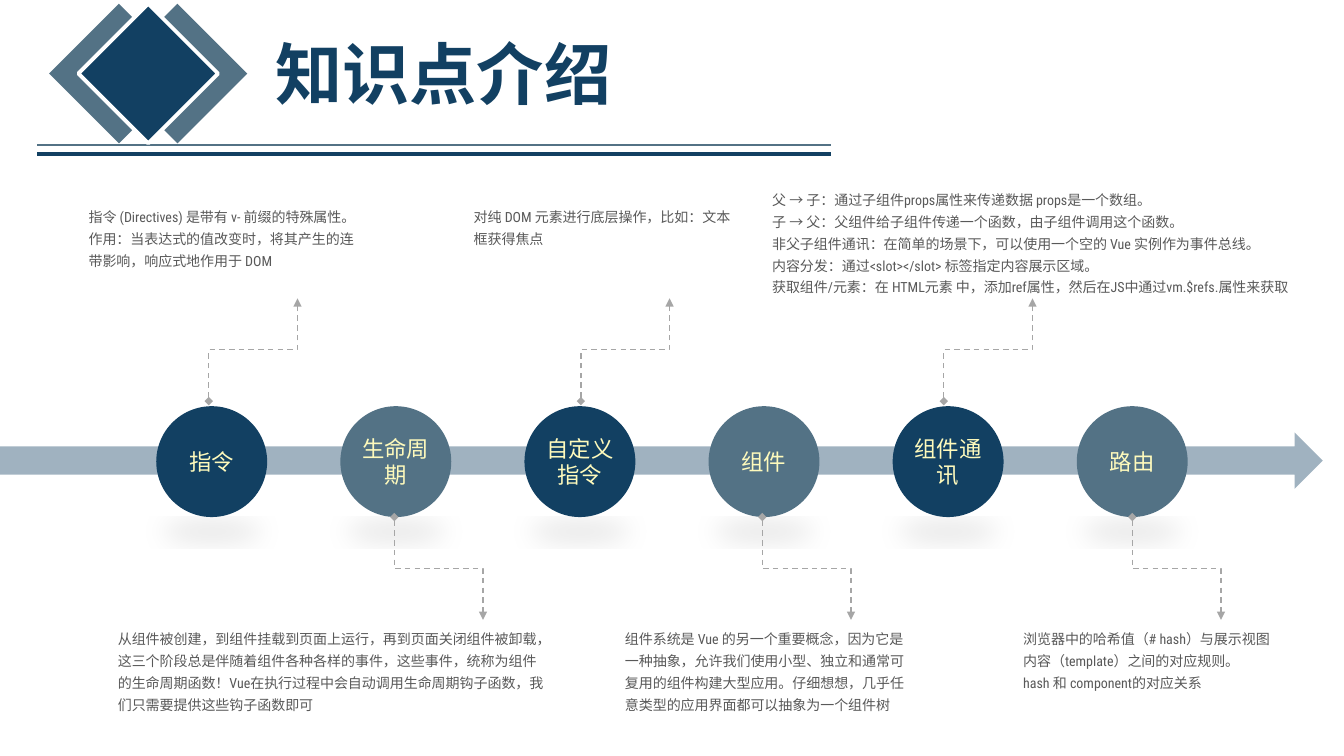
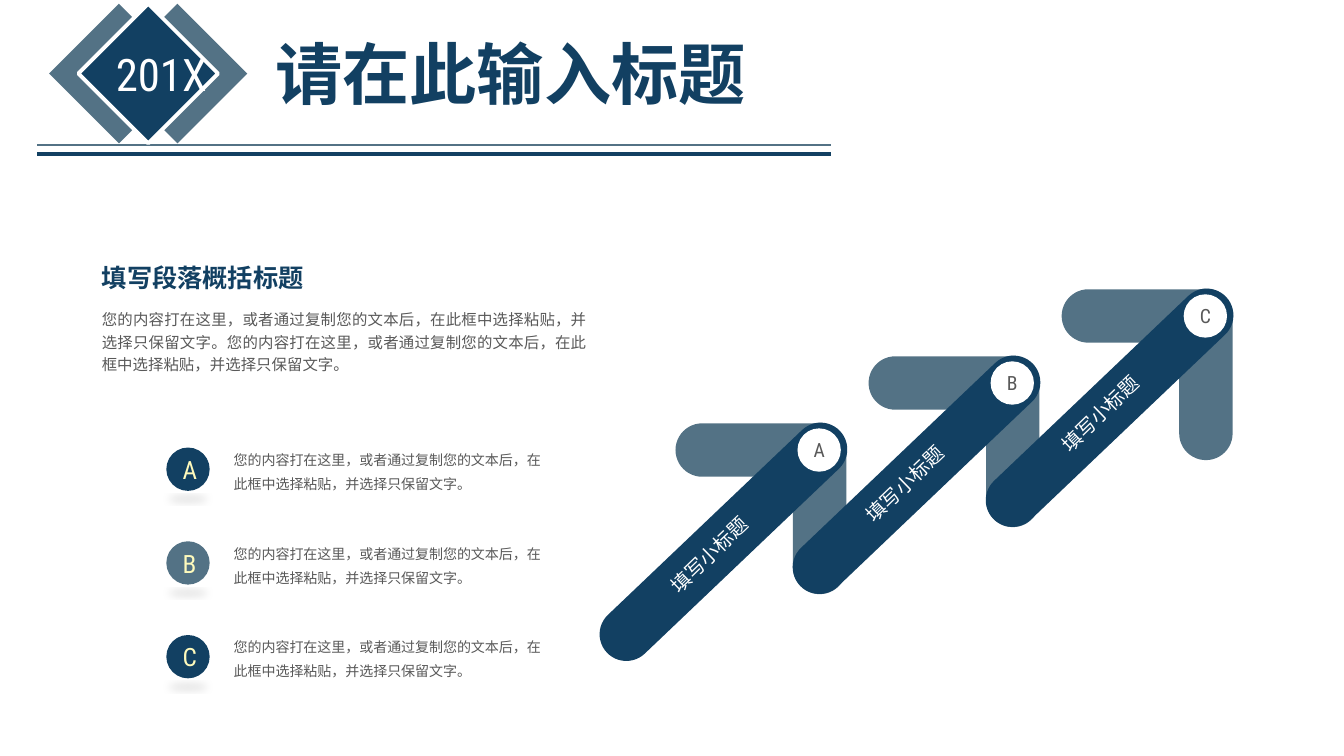
from dataclasses import dataclass

from lxml.etree import SubElement
from pptx import Presentation
from pptx.dml.color import RGBColor
from pptx.enum.dml import MSO_LINE
from pptx.enum.shapes import MSO_CONNECTOR as Link, MSO_SHAPE as Shape
from pptx.enum.text import MSO_ANCHOR as Anchor, MSO_AUTO_SIZE as AutoSize, PP_ALIGN as Align
from pptx.oxml.ns import qn
from pptx.util import Inches, Pt


@dataclass(frozen=True)
class Theme:
    navy: str = "124062"
    steel: str = "537285"
    cream: str = "FEFABC"
    white: str = "FFFFFF"
    body: str = "595959"
    guide: str = "A6A6A6"
    title_font: str = "Montserrat"
    body_font: str = "Roboto Condensed"
    title_size: int = 48
    year_size: int = 32
    heading_size: int = 18
    node_size: int = 16
    label_size: int = 14
    summary_size: int = 11
    small_size: int = 10


THEME = Theme()
TITLE_AND_BODY, TITLE_ONLY = 1, 5

# Circle text, guide start column, note box (left, top, width, height), note paragraphs
STAGES = [
    ("指令", 20.7, (7.8, 19.7, 28.8, 7.6),
     ["指令 (Directives) 是带有 v- 前缀的特殊属性。",
      "作用：当表达式的值改变时，将其产生的连带影响，响应式地作用于 DOM"]),
    ("生命周期", 39.1, (10.7, 61.6, 44.2, 9.8),
     ["从组件被创建，到组件挂载到页面上运行，再到页面关闭组件被卸载，这三个阶段总是伴随着组件"
      "各种各样的事件，这些事件，统称为组件的生命周期函数！Vue在执行过程中会自动调用生命周期"
      "钩子函数，我们只需要提供这些钩子函数即可"]),
    ("自定义指令", 57.6, (46, 19.7, 27.6, 5.4),
     ["对纯 DOM 元素进行底层操作，比如：文本框获得焦点"]),
    ("组件", 75.6, (61, 61.6, 30.4, 9.8),
     ["组件系统是 Vue 的另一个重要概念，因为它是一种抽象，允许我们使用小型、独立和通常可复用的"
      "组件构建大型应用。仔细想想，几乎任意类型的应用界面都可以抽象为一个组件树"]),
    ("组件通讯", 93.6, (75.6, 18, 55.6, 11.9),
     ["父 → 子：通过子组件props属性来传递数据 props是一个数组。",
      "子 → 父：父组件给子组件传递一个函数，由子组件调用这个函数。",
      "非父子组件通讯：在简单的场景下，可以使用一个空的 Vue 实例作为事件总线。",
      "内容分发：通过<slot></slot> 标签指定内容展示区域。",
      "获取组件/元素：在 HTML元素 中，添加ref属性，然后在JS中通过vm.$refs.属性来获取"]),
    ("路由", 112.3, (100.5, 61.6, 27.6, 7.6),
     ["浏览器中的哈希值（# hash）与展示视图内容（template）之间的对应规则。",
      "hash 和 component的对应关系"]),
]

LETTERS = "ABC"
ITEM = "您的内容打在这里，或者通过复制您的文本后，在此框中选择粘贴，并选择只保留文字。"
SUMMARY = ["填写段落概括标题", ITEM * 2]


def cells(*counts):
    """Lengths in grid cells; the slide is 133.3 columns by 75 rows."""
    return [Inches(count / 10) for count in counts]


def rgb(colour):
    return RGBColor.from_string(colour)


def style(paragraph, size, colour, font=THEME.body_font, bold=False):
    for run in paragraph.runs:
        run.font.name = font
        run.font.size = Pt(size)
        run.font.bold = bold
        run.font.color.rgb = rgb(colour)
        SubElement(run.font._element, qn("a:ea"), typeface=font)


def add_text(slide, box, paragraphs, size, colour, spacing=None, wrap=True, rotation=0):
    textbox = slide.shapes.add_textbox(*cells(*box))
    textbox.rotation = rotation
    frame = textbox.text_frame
    frame.word_wrap = wrap
    frame.text = "\n".join(paragraphs)
    for paragraph in frame.paragraphs:
        paragraph.line_spacing = spacing
        style(paragraph, size, colour)


def add_block(slide, preset, box, fill, rotation=0):
    """A filled shape without outline or shadow."""
    block = slide.shapes.add_shape(preset, *cells(*box))
    block.rotation = rotation
    block.shadow.inherit = False
    block.fill.solid()
    block.fill.fore_color.rgb = rgb(fill)
    block.line.fill.background()
    return block


def add_circle(slide, box, text, size, fill, colour, inset=1):
    circle = add_block(slide, Shape.OVAL, box, fill)
    frame = circle.text_frame
    frame.margin_left = frame.margin_right = cells(inset)[0]
    frame.vertical_anchor = Anchor.MIDDLE
    frame.text = text
    frame.paragraphs[0].alignment = Align.CENTER
    style(frame.paragraphs[0], size, colour)
    return circle


def cast_reflection(circle, blur):
    """Flattened soft shadow below the circle."""
    effects = circle._element.spPr.find(qn("a:effectLst"))
    shadow = SubElement(effects, qn("a:outerShdw"), blurRad=str(Pt(blur)), dist=str(Pt(3)),
                        dir="5400000", sx="90000", sy="-19000", algn="b", rotWithShape="0")
    black = SubElement(shadow, qn("a:srgbClr"), val="000000")
    SubElement(black, qn("a:alpha"), val="10000")


def add_line(slide, kind, ends, colour, width):
    line = slide.shapes.add_connector(kind, *cells(*ends))
    line.line.color.rgb = rgb(colour)
    line.line.width = Pt(width)
    SubElement(line._element.spPr, qn("a:effectLst"))
    return line


def add_guide(slide, column, row, upward):
    """Dashed elbow that leaves (column, row) vertically and ends up or down on the right."""
    half_rise, half_run = 5.1, 4.4
    side = 1 if upward else -1
    x, y = column + half_run, row - side * half_rise
    ends = (x + half_rise, y + side * half_run, x - half_rise, y - side * half_run)
    guide = add_line(slide, Link.ELBOW, ends, THEME.guide, 1)
    guide.line.dash_style = MSO_LINE.DASH
    stroke = guide.line._get_or_add_ln()
    SubElement(stroke, qn("a:headEnd"), type="diamond")
    SubElement(stroke, qn("a:tailEnd"), type="triangle")
    guide._element.spPr.xfrm.set("rot", str((90 if upward else 270) * 60000))


def add_header(slide, title, title_width):
    for row, colour, width in ((14.4, THEME.steel, 1), (15.3, THEME.navy, 3)):
        add_line(slide, Link.STRAIGHT, (3.7, row, 82.4, row), colour, width)
    for left, fill in ((12.7, THEME.steel), (6.9, THEME.steel), (9.8, THEME.navy)):
        square = add_block(slide, Shape.RECTANGLE, (left, 2.4, 9.8, 9.8), fill, 45)
    square.line.color.rgb = rgb(THEME.white)
    square.line.width = Pt(2.75)

    heading = slide.shapes.title
    heading.left, heading.top, heading.width, heading.height = cells(26.3, 2.7, title_width, 9.1)
    frame = heading.text_frame
    frame.text = title
    frame.word_wrap = False
    frame.auto_size = AutoSize.NONE
    frame.vertical_anchor = Anchor.TOP
    frame.paragraphs[0].alignment = Align.LEFT
    style(frame.paragraphs[0], THEME.title_size, THEME.navy, THEME.title_font, True)


def add_summary(slide):
    summary = slide.placeholders[1]
    summary.left, summary.top, summary.width, summary.height = cells(9.1, 25.8, 50.1, 11.9)
    frame = summary.text_frame
    frame.text = "\n".join(SUMMARY)
    frame.auto_size = AutoSize.NONE
    frame.margin_top = cells(1)[0]
    looks = ((THEME.heading_size, THEME.navy, True, 0), (THEME.summary_size, THEME.body, False, 10))
    for paragraph, (size, colour, bold, before) in zip(frame.paragraphs, looks):
        properties = paragraph._p.get_or_add_pPr()
        properties.set("marL", "0")
        properties.set("indent", "0")
        SubElement(properties, qn("a:buNone"))
        paragraph.alignment = Align.JUSTIFY
        paragraph.line_spacing = Pt(16)
        paragraph.space_before = Pt(before)
        style(paragraph, size, colour, bold=bold)


def add_rising_arrow(slide, step, letter):
    left, top = 67 + step * 38.3 / 2, 42 - step * 13.3 / 2
    bars = (((left, top, 17, 5.3), THEME.steel, 0),
            ((left + 5.8, top + 5.8, 17, 5.3), THEME.steel, 90),
            ((left - 11.2, top + 9.1, 31.9, 5.3), THEME.navy, 136.4))
    for box, fill, rotation in bars:
        bar = add_block(slide, Shape.ROUNDED_RECTANGLE, box, fill, rotation)
        bar.adjustments[0] = 0.5
    add_circle(slide, (left + 12.1, top + 0.5, 4.3, 4.3), letter,
               THEME.label_size, THEME.white, THEME.body)
    add_text(slide, (64.5 + step * 19.4, 53.3 - step * 7, 11.8, 3.4), ["填写小标题"],
             THEME.label_size, THEME.white, wrap=False, rotation=316)


def build_timeline(slide):
    add_header(slide, "知识点介绍", 35.7)
    axis = add_block(slide, Shape.RIGHT_ARROW, (0, 42.9, 131.2, 5.6), THEME.navy)
    axis_colour = axis._element.spPr.find(qn("a:solidFill"))[0]
    SubElement(axis_colour, qn("a:alpha"), val="40000")

    pitch = (106.8 - 15.5) / (len(STAGES) - 1)
    for index, (name, guide_column, note_box, note) in enumerate(STAGES):
        upward = index % 2 == 0
        circle = add_circle(slide, (15.5 + index * pitch, 40.3, 11, 11), name, THEME.node_size,
                            THEME.navy if upward else THEME.steel, THEME.cream, inset=0)
        cast_reflection(circle, 19)
        add_guide(slide, guide_column, 39.8 if upward else 51.3, upward)
        add_text(slide, note_box, note, THEME.small_size, THEME.body, spacing=1.3)


def build_growth(slide):
    add_header(slide, "请在此输入标题", 49.4)
    add_text(slide, (10.5, 4.1, 11.6, 6.4), ["201X"], THEME.year_size, THEME.white, wrap=False)
    add_summary(slide)
    for index, letter in enumerate(LETTERS):
        add_rising_arrow(slide, index, letter)
        top = 44.4 + index * 9.3
        badge = add_circle(slide, (16.5, top, 4.3, 4.3), letter, THEME.heading_size,
                           THEME.steel if index % 2 else THEME.navy, THEME.cream)
        cast_reflection(badge, 6)
        add_text(slide, (22.2, top - 0.8, 32.4, 5.8), [ITEM], THEME.small_size, THEME.body,
                 spacing=Pt(17))


def main():
    deck = Presentation()
    deck.slide_width, deck.slide_height = cells(133.3, 75)
    for layout, build in ((TITLE_ONLY, build_timeline), (TITLE_AND_BODY, build_growth)):
        build(deck.slides.add_slide(deck.slide_layouts[layout]))
    deck.save("out.pptx")


if __name__ == "__main__":
    main()
